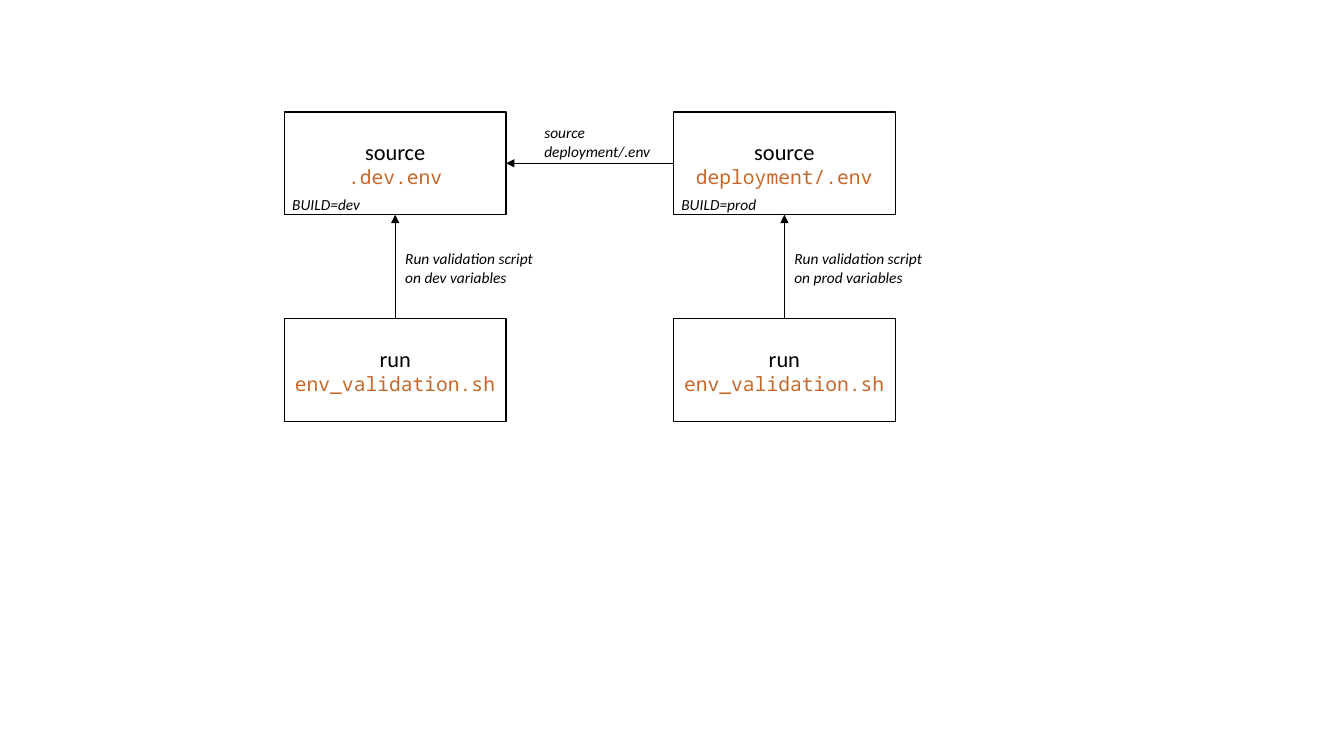
from lxml import etree
from pptx import Presentation
from pptx.dml.color import RGBColor
from pptx.enum.shapes import MSO_CONNECTOR, MSO_SHAPE
from pptx.enum.text import MSO_ANCHOR, PP_ALIGN
from pptx.oxml.ns import qn
from pptx.util import Pt

RECTANGLE = MSO_SHAPE.RECTANGLE
STRAIGHT = MSO_CONNECTOR.STRAIGHT
MIDDLE = MSO_ANCHOR.MIDDLE
LEFT, CENTER = PP_ALIGN.LEFT, PP_ALIGN.CENTER

EMU_PER_PX = 9144
SLIDE_WIDTH, SLIDE_HEIGHT = 1333, 750
BOX_WIDTH, BOX_HEIGHT = 220, 102
SOURCE_TOP, ROW_STEP = 111, 205
TOP_SITE, LEFT_SITE, BOTTOM_SITE, RIGHT_SITE = range(4)

COLORS = {"paper": "FFFFFF", "ink": "000000", "code": "C5682B"}
ACTION = {"name": "Calibri", "size": Pt(16), "color": "ink"}
CODE = {"name": "Noto Sans Mono", "size": Pt(14), "color": "code"}
NOTE = {"name": "Calibri", "size": Pt(11), "italic": True, "color": "ink"}

ENVIRONMENTS = [
    {"left": 282, "file": ".dev.env", "build": "dev"},
    {"left": 668, "file": "deployment/.env", "build": "prod"},
]


def px(*lengths):
    return [length * EMU_PER_PX for length in lengths]


def color(name):
    return RGBColor.from_string(COLORS[name])


def write_lines(frame, lines, alignment):
    frame.word_wrap = True
    frame.vertical_anchor = MIDDLE
    for index, (text, style) in enumerate(lines):
        para = frame.add_paragraph() if index else frame.paragraphs[0]
        para.alignment = alignment
        span = para.add_run()
        span.text = text
        for key, value in style.items():
            if key == "color":
                span.font.color.rgb = color(value)
            else:
                setattr(span.font, key, value)


def add_step(page, left, top, action, file_name):
    box = page.shapes.add_shape(RECTANGLE, *px(left, top, BOX_WIDTH, BOX_HEIGHT))
    box.shadow.inherit = False
    box.fill.solid()
    box.fill.fore_color.rgb = color("paper")
    box.line.color.rgb = color("ink")
    box.line.width = Pt(1)
    write_lines(box.text_frame, [(action, ACTION), (file_name, CODE)], CENTER)
    return box


def add_note(page, left, top, width, height, text):
    box = page.shapes.add_textbox(*px(left, top, width, height))
    write_lines(box.text_frame, [(text, NOTE)], LEFT)


def add_arrow(page, start, start_site, end, end_site):
    arrow = page.shapes.add_connector(STRAIGHT, 0, 0, 0, 0)
    arrow.begin_connect(start, start_site)
    arrow.end_connect(end, end_site)
    arrow.line.color.rgb = color("ink")
    arrow.line.width = Pt(0.5)
    etree.SubElement(arrow.line._get_or_add_ln(), qn("a:tailEnd"), type="triangle")
    etree.SubElement(arrow._element.spPr, qn("a:effectLst"))


def add_environment(page, left, top, file_name, build):
    source = add_step(page, left, top, "source", file_name)
    run = add_step(page, left, top + ROW_STEP, "run", "env_validation.sh")
    add_arrow(page, run, TOP_SITE, source, BOTTOM_SITE)
    add_note(page, left + BOX_WIDTH // 2, top + 134, 148, 41,
             f"Run validation script on {build} variables")
    add_note(page, left - 2, top + 81, 96, 21, f"BUILD={build}")
    return source


def main():
    deck = Presentation()
    deck.slide_width, deck.slide_height = px(SLIDE_WIDTH, SLIDE_HEIGHT)
    page = deck.slides.add_slide(deck.slide_layouts[6])
    dev, prod = [
        add_environment(page, env["left"], SOURCE_TOP, env["file"], env["build"])
        for env in ENVIRONMENTS
    ]
    add_arrow(page, prod, LEFT_SITE, dev, RIGHT_SITE)
    dev_right = ENVIRONMENTS[0]["left"] + BOX_WIDTH
    add_note(page, dev_right + 28, SOURCE_TOP + 9, 128, 41, "source deployment/.env")
    deck.save("out.pptx")


if __name__ == "__main__":
    main()
